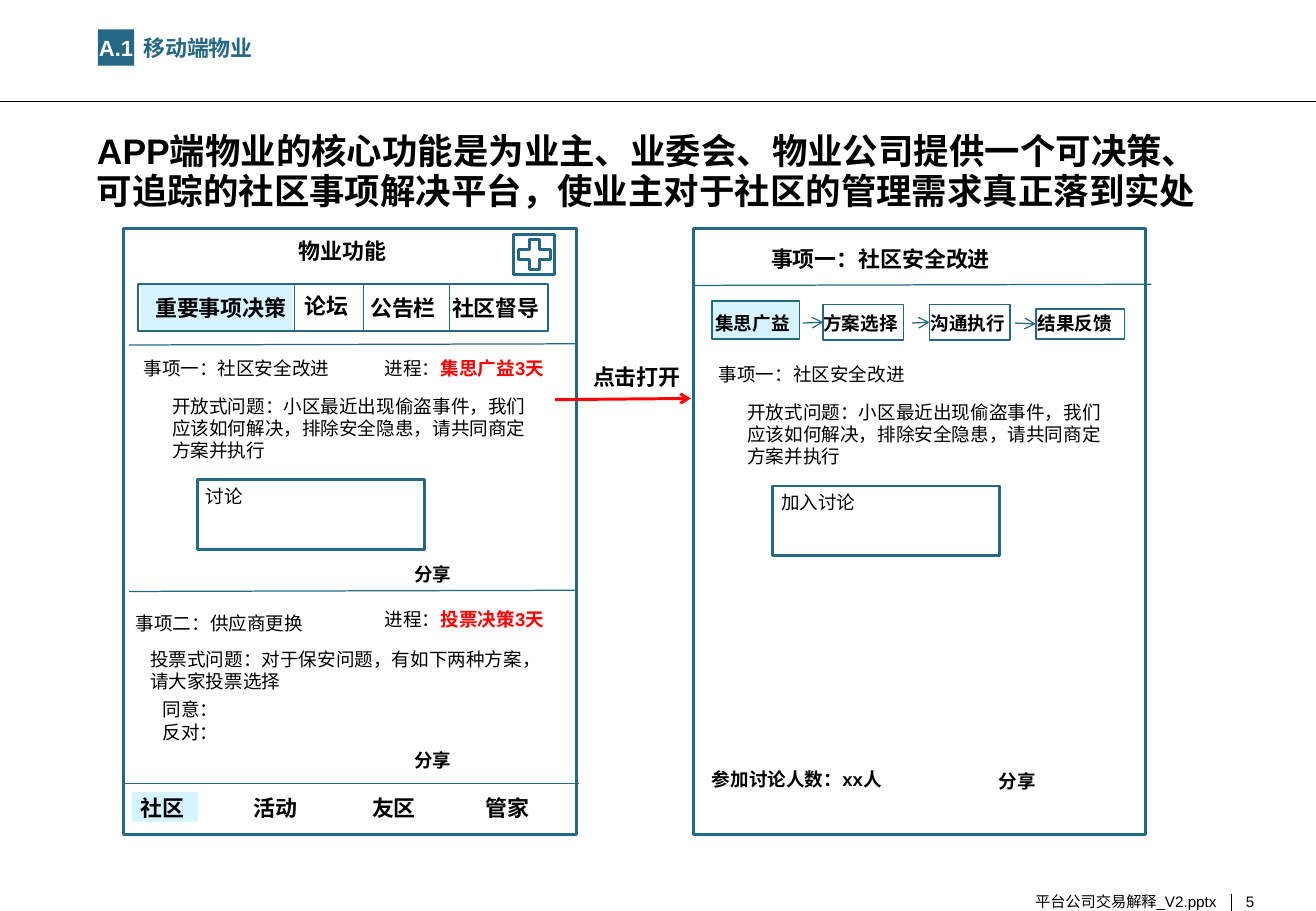
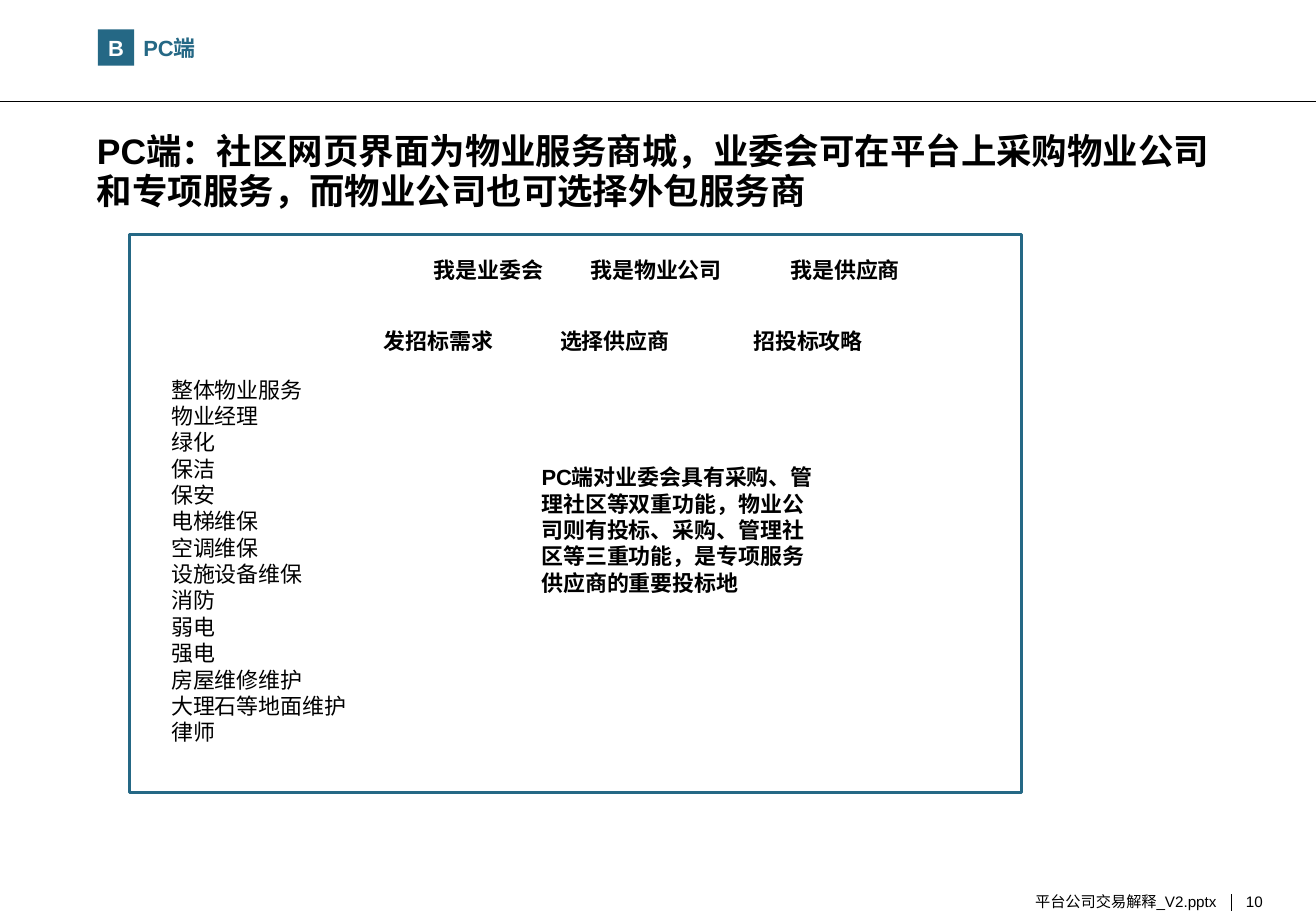
import pptx
import pptx.util
import pptx.dml.color
import pptx.enum.shapes
import pptx.enum.text
import pptx.enum.lang
import pptx.oxml.ns
import lxml.etree

Pt = pptx.util.Pt
RGB = pptx.dml.color.RGBColor
SHAPE = pptx.enum.shapes.MSO_SHAPE
ALIGN = pptx.enum.text.PP_ALIGN
ANCHOR = pptx.enum.text.MSO_ANCHOR

TEAL = RGB(0x25, 0x68, 0x85)
PALE = RGB(0xD5, 0xF4, 0xFF)
RED = RGB(0xFF, 0x00, 0x00)
BLACK = RGB(0x00, 0x00, 0x00)
WHITE = RGB(0xFF, 0xFF, 0xFF)
FONT = "Arial"
WIDE, HIGH = 780, 540
LEFT, MID, RIGHT = ALIGN.LEFT, ALIGN.CENTER, ALIGN.RIGHT

# Content shared by the slides
FOOT = "平台公司交易解释_V2.pptx"

# Content of the app slide: text, left, top, width, align
APP = dict(
    tag="A.1", name="移动端物业", span=66, page="5",
    title="APP端物业的核心功能是为业主、业委会、物业公司提供一个可决策、"
          "可追踪的社区事项解决平台，使业主对于社区的管理需求真正落到实处")
HEADS = [
    ("物业功能", 164, 141, 78, MID),
    ("事项一：社区安全改进", 457, 145.5, 151, LEFT),
    ("点击打开", 351.5, 215.5, 54, LEFT),
    ("重要事项决策", 92, 174.5, 79, LEFT),
    ("论坛", 168.5, 173.5, 50, MID),
    ("公告栏", 219.5, 174.5, 50, LEFT),
    ("社区督导", 268, 174.5, 60.5, LEFT),
    ("社区", 83.5, 471, 42, LEFT),
    ("活动", 142.5, 471, 42, MID),
    ("友区", 212.5, 471, 42, MID),
    ("管家", 288, 471, 42, LEFT),
]
NOTES = [
    ("分享", 245.5, 334), ("分享", 245.5, 444), ("分享", 592, 456.5),
    ("参加讨论人数：xx人", 422, 455.5),
]
STATES = [("集思广益3天", 211.5), ("投票决策3天", 360.5)]
TOPIC = "事项一：社区安全改进"
ASK = "开放式问题：小区最近出现偷盗事件，我们应该如何解决，排除安全隐患，请共同商定方案并执行"
TALKS = [("讨论", 0, 0), ("加入讨论", 341, 3.6)]
VOTE = [
    (["事项二：供应商更换"], 80.5, 363, 122),
    (["投票式问题：对于保安问题，有如下两种方案，请大家投票选择"], 89, 384, 234),
    (["同意：", "反对："], 96.5, 414, 152),
]
# Step: name, text left, box (left, top, width, height), arrow start
STEPS = [
    ("集思广益", 424, (422, 178.5, 52, 22.5), None),
    ("方案选择", 488, (488, 180.5, 47.5, 21), 476),
    ("沟通执行", 551.5, (551, 180.5, 47.5, 21), 540.5),
    ("结果反馈", 615, (614, 183, 52.5, 18), 601.5),
]
RULES = [
    (72.5, 464.5, 343.5, 464.5), (76.5, 204.5, 342, 203.8),
    (76.5, 350.6, 342, 349.9), (411, 169.2, 682.5, 168.5),
]
SPLITS = [174.5, 215.5, 266.5]

# Content of the web slide
WEB = dict(
    tag="B", name="PC端", span=31, page="10",
    title="PC端：社区网页界面为物业服务商城，业委会可在平台上采购物业公司"
          "和专项服务，而物业公司也可选择外包服务商")
MENUS = [
    (152, [("我是业委会", 257), ("我是物业公司", 350), ("我是供应商", 468.5)]),
    (194, [("发招标需求", 227.5), ("选择供应商", 332), ("招投标攻略", 446.5)]),
]
TRADES = ["整体物业服务", "物业经理", "绿化", "保洁", "保安", "电梯维保", "空调维保",
          "设施设备维保", "消防", "弱电", "强电", "房屋维修维护", "大理石等地面维护", "律师"]
POINT = ("PC端对业委会具有采购、管理社区等双重功能，物业公司则有投标、采购、"
         "管理社区等三重功能，是专项服务供应商的重要投标地")


def write(shape, lines, size, bold=False, color=BLACK, align=LEFT, wrap=True,
          anchor=ANCHOR.TOP, pace=None):
    """Fill a shape; a line is a string or a list of (text, bold, colour)."""
    frame = shape.text_frame
    frame.margin_left = frame.margin_right = Pt(0)
    frame.margin_top = frame.margin_bottom = Pt(0)
    frame.word_wrap = wrap
    frame.vertical_anchor = anchor
    for i, line in enumerate(lines):
        para = frame.add_paragraph() if i else frame.paragraphs[0]
        para.alignment = align
        if pace:
            para.line_spacing = pace
        parts = [(line, bold, color)] if isinstance(line, str) else line
        for text, heavy, tint in parts:
            run = para.add_run()
            run.text = text
            run.font.name = FONT
            run.font.size = Pt(size)
            run.font.bold = heavy
            run.font.color.rgb = tint
            run.font.language_id = pptx.enum.lang.MSO_LANGUAGE_ID.SIMPLIFIED_CHINESE


def label(slide, lines, x, y, w, size, h=None, **style):
    high = h or size * 1.2 * len(lines)
    shape = slide.shapes.add_textbox(Pt(x), Pt(y), Pt(w), Pt(high))
    write(shape, lines, size, **style)


def block(slide, x, y, w, h, fill=None, line=None, kind=SHAPE.RECTANGLE):
    shape = slide.shapes.add_shape(kind, Pt(x), Pt(y), Pt(w), Pt(h))
    shape.shadow.inherit = False
    if fill is None:
        shape.fill.background()
    else:
        shape.fill.solid()
        shape.fill.fore_color.rgb = fill
    if line is None:
        shape.line.fill.background()
    else:
        shape.line.color.rgb = TEAL
        shape.line.width = Pt(line)
    return shape


def rule(slide, x1, y1, x2, y2, color=TEAL, width=0.75, arrow=False):
    line = slide.shapes.add_connector(
        pptx.enum.shapes.MSO_CONNECTOR.STRAIGHT, Pt(x1), Pt(y1), Pt(x2), Pt(y2))
    line.line.color.rgb = color
    line.line.width = Pt(width)
    qn = pptx.oxml.ns.qn
    props = line._element.spPr
    if arrow:
        lxml.etree.SubElement(props.find(qn("a:ln")), qn("a:tailEnd"), type="arrow")
    lxml.etree.SubElement(props, qn("a:effectLst"))
    return line


def start(deck, tag, name, span, page, title):
    """Add a slide with the shared header, title and footer."""
    slide = deck.slides.add_slide(deck.slide_layouts[6])
    rule(slide, 0, 60, WIDE, 60, BLACK)
    badge = block(slide, 58, 17.5, 21.5, 21.5, TEAL)
    write(badge, [tag], 13, bold=True, color=WHITE, align=MID, wrap=False,
          anchor=ANCHOR.MIDDLE)
    label(slide, [name], 85, 20.5, span, 13, bold=True, color=TEAL,
          anchor=ANCHOR.MIDDLE)
    label(slide, [title], 57.5, 79, 672.5, 21, h=54, bold=True, pace=0.93)
    label(slide, [FOOT], 448, 529, 273, 9, align=RIGHT)
    rule(slide, 730, 530, 730, HIGH, BLACK)
    label(slide, [page], 738.5, 529, 14, 9, wrap=False)
    return slide


def topic(slide, talk, dx, dy):
    """Draw the open question with its reply box."""
    label(slide, [TOPIC], 85 + dx, 211.5 + dy, 137, 11)
    label(slide, [ASK], 102 + dx, 234 + dy, 210.5, 11, h=40)
    block(slide, 117 + dx, 284.5 + dy, 134.5, 41, line=1.75)
    label(slide, [talk], 122 + dx, 287.5 + dy, 78, 11)


def draw_app(deck):
    slide = start(deck, **APP)
    # Phone screens, tabs and plus button
    block(slide, 83.5, 168.5, 90, 28, PALE)
    block(slide, 78, 469.5, 39.5, 17.5, PALE)
    for x in (73.5, 411):
        block(slide, x, 135.5, 268, 359.5, line=1.75)
    block(slide, 82, 168.5, 243, 28, line=1.25)
    for x in SPLITS:
        rule(slide, x, 168, x, 196.5)
    block(slide, 304.5, 139, 24.5, 23.5, line=1.75)
    block(slide, 304, 138.5, 25.5, 24.5, line=1.75, kind=SHAPE.MATH_PLUS)
    for ends in RULES:
        rule(slide, *ends)
    # Steps joined by arrows
    for name, left, box, tail in STEPS:
        step = block(slide, *box, fill=None if tail else PALE, line=1)
        if tail:
            y = box[1] + box[3] / 2
            rule(slide, tail, 191.5, box[0], y, arrow=True).end_connect(step, 1)
        label(slide, [name], left, 185, 52, 11, bold=True)
    # Questions and texts
    for talk in TALKS:
        topic(slide, *talk)
    for text, y in STATES:
        parts = [("进程：", False, BLACK), (text, True, RED)]
        label(slide, [parts], 228, y, 107, 11)
    for lines, x, y, w in VOTE:
        label(slide, lines, x, y, w, 11)
    for text, x, y, w, align in HEADS:
        label(slide, [text], x, y, w, 13, bold=True, align=align)
    for text, x, y in NOTES:
        label(slide, [text], x, y, 12 * len(text), 11, bold=True)
    rule(slide, 329, 236.9, 409.5, 236.2, RED, 1.75, arrow=True)


def draw_web(deck):
    slide = start(deck, **WEB)
    block(slide, 77, 139, 528.5, 331, line=1.75)
    for y, items in MENUS:
        for text, x in items:
            label(slide, [text], x, y, 96, 13, bold=True)
    label(slide, TRADES, 101.5, 223, 115, 13)
    label(slide, [POINT], 321, 275, 165.5, 13, h=78, bold=True)


def main():
    deck = pptx.Presentation()
    deck.slide_width, deck.slide_height = Pt(WIDE), Pt(HIGH)
    draw_app(deck)
    draw_web(deck)
    deck.save("out.pptx")


if __name__ == "__main__":
    main()
